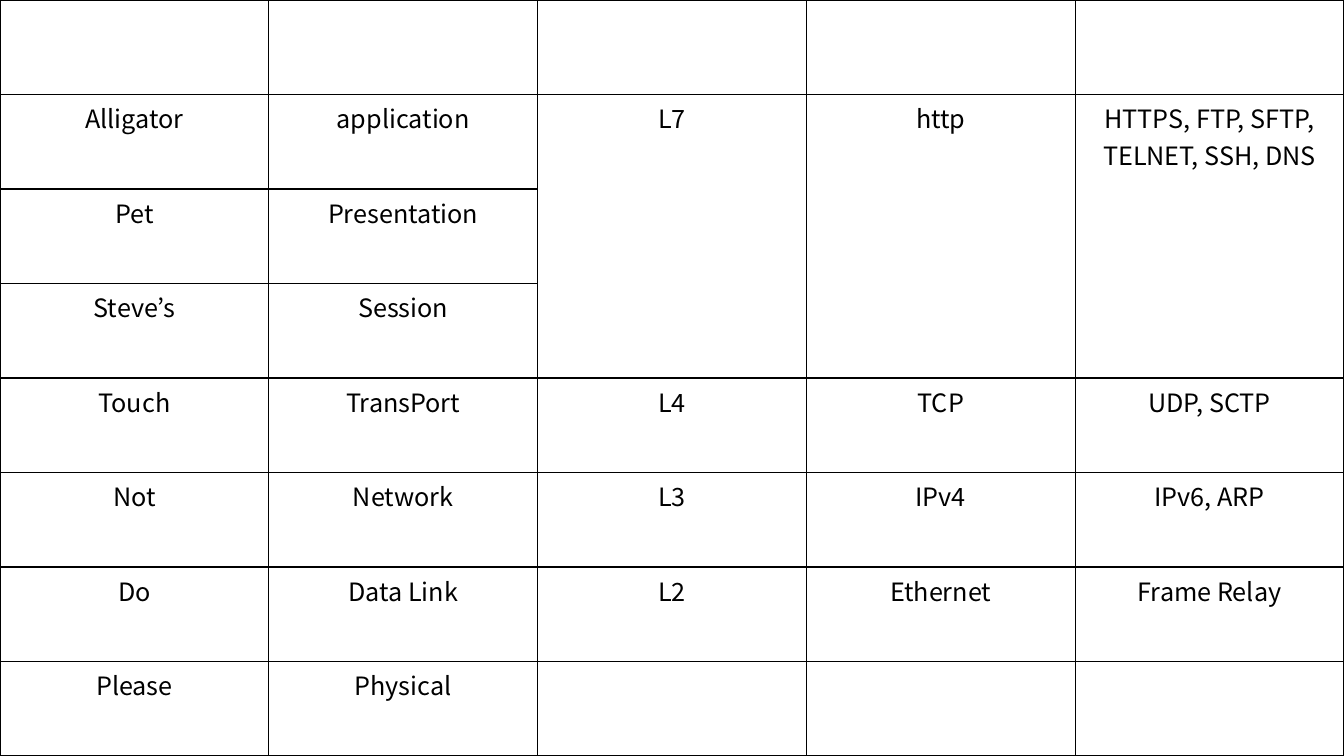
from dataclasses import dataclass

from pptx import Presentation
from pptx.dml.color import RGBColor
from pptx.enum.text import PP_ALIGN
from pptx.oxml import parse_xml
from pptx.oxml.ns import nsdecls
from pptx.util import Inches, Pt

LAYERS = [
    ("", "", "", "", ""),
    ("Alligator", "application", "L7", "http", "HTTPS, FTP, SFTP, TELNET, SSH, DNS"),
    ("Pet", "Presentation", "", "", ""),
    ("Steve’s", "Session", "", "", ""),
    ("Touch", "TransPort", "L4", "TCP", "UDP, SCTP"),
    ("Not", "Network", "L3", "IPv4", "IPv6, ARP"),
    ("Do", "Data Link", "L2", "Ethernet", "Frame Relay"),
    ("Please", "Physical", "", "", ""),
]
MERGED_ROWS = (1, 3)
MERGED_COLS = (2, 3, 4)


@dataclass(frozen=True)
class Theme:
    font: str = "Noto Sans CJK KR"
    size: int = 18
    text: str = "000000"
    border: str = "000000"
    border_width: int = 1


THEME = Theme()


def write(tf, text, size=THEME.size, color=THEME.text, align=PP_ALIGN.CENTER):
    p = tf.paragraphs[0]
    p.alignment = align
    r = p.add_run()
    r.text = text
    r.font.size = Pt(size)
    r.font.color.rgb = RGBColor.from_string(color)
    r.font.name = THEME.font
    r.font._element.append(
        parse_xml(f'<a:ea {nsdecls("a")} typeface="{THEME.font}"/>'))


def add_borders(cell):
    tcPr = cell._tc.get_or_add_tcPr()
    for side in ("lnL", "lnR", "lnT", "lnB"):
        tcPr.append(parse_xml(
            f'<a:{side} {nsdecls("a")} w="{Pt(THEME.border_width)}">'
            f'<a:solidFill><a:srgbClr val="{THEME.border}"/></a:solidFill>'
            f'</a:{side}>'))


def add_layer_table(s, width, height):
    n_rows, n_cols = len(LAYERS), len(LAYERS[0])
    table = s.shapes.add_table(n_rows, n_cols, 0, 0, width, height).table
    table.first_row = table.horz_banding = False
    for col in table.columns:
        col.width = width // n_cols
    for row in table.rows:
        row.height = height // n_rows
    for i, layer in enumerate(LAYERS):
        for j, text in enumerate(layer):
            cell = table.cell(i, j)
            add_borders(cell)
            cell.fill.background()
            if text:
                write(cell.text_frame, text)
    top, bottom = MERGED_ROWS
    for j in MERGED_COLS:
        table.cell(top, j).merge(table.cell(bottom, j))


def main():
    """Build the slide of network layers and their mnemonic."""
    prs = Presentation()
    prs.slide_width, prs.slide_height = Inches(13.33), Inches(7.5)
    s = prs.slides.add_slide(prs.slide_layouts[6])
    add_layer_table(s, prs.slide_width, prs.slide_height)
    prs.save("out.pptx")


if __name__ == "__main__":
    main()
